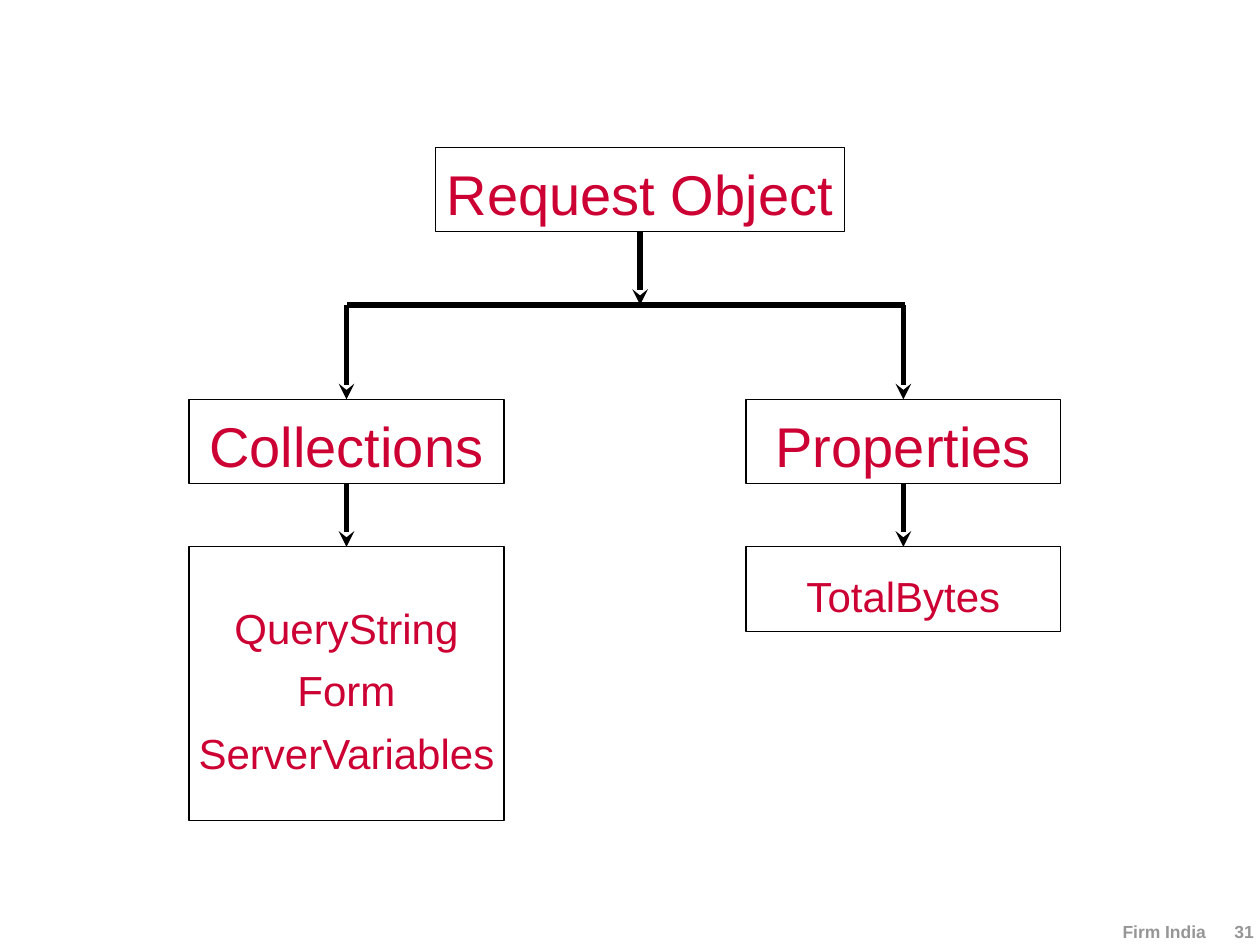
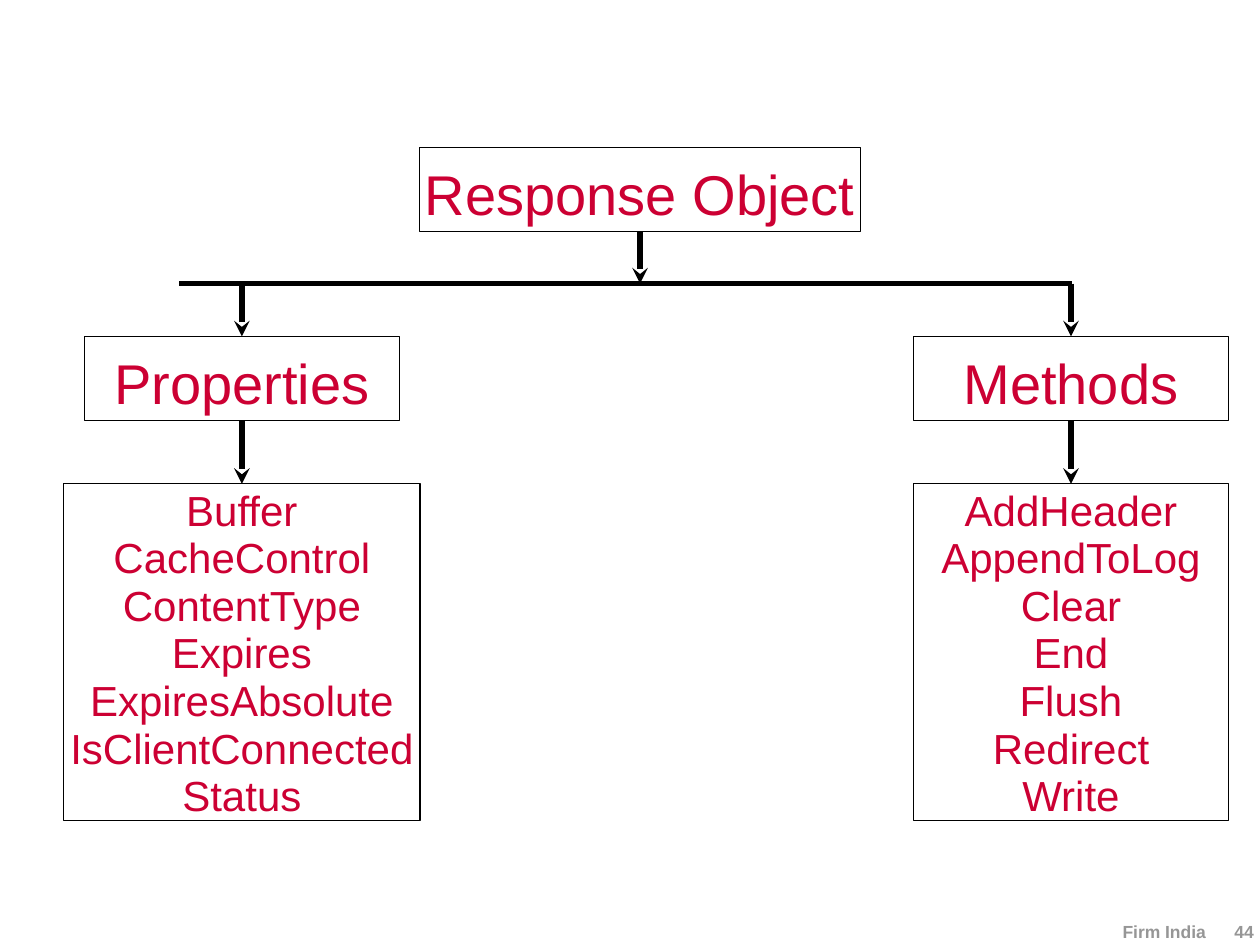
from lxml import etree
from pptx import Presentation
from pptx import util as u
from pptx.dml.color import RGBColor
from pptx.enum import shapes, text
from pptx.oxml.ns import qn

COLORS = {"line": "000000", "label": "CC0033", "footer": "969696"}
FONT = "Arial"
ROOT_CENTER, ROOT_TOP = 5.08, 1.17
HEADING_WIDTH, HEADING_HEIGHT = 2.5, 0.67
HEADING_GAP = 0.5
TOP, BOTTOM = 0, 2  # connection sites of a rectangle


def color(name):
    return RGBColor.from_string(COLORS[name])


def style_paragraph(para, size, color_name, align, bold=False):
    para.alignment = align
    para.font.name = FONT
    para.font.size = u.Pt(size)
    para.font.bold = bold
    para.font.color.rgb = color(color_name)


def add_box(page, center, top, width, height, lines, size, spacing=1.0, top_inset=0.1):
    """Outlined rectangle with centred lines of text."""
    box = page.shapes.add_shape(
        shapes.MSO_SHAPE.RECTANGLE, u.Inches(center - width / 2),
        u.Inches(top), u.Inches(width), u.Inches(height))
    box.shadow.inherit = False
    box.fill.background()
    box.line.color.rgb = color("line")
    box.line.width = u.Pt(0.75)
    frame = box.text_frame
    frame.word_wrap = False
    frame.vertical_anchor = text.MSO_ANCHOR.MIDDLE
    frame.margin_top = u.Inches(top_inset)
    frame.text = "\n".join(lines)
    for index, para in enumerate(frame.paragraphs):
        para.line_spacing = spacing
        para.space_before = u.Pt(7 if index else 0)
        style_paragraph(para, size, "label", text.PP_ALIGN.CENTER)
    return box


def add_heading(page, center, top, title, width=HEADING_WIDTH):
    return add_box(page, center, top, width, HEADING_HEIGHT, [title], 32)


def add_line(page, start, end, arrow=True):
    connector = page.shapes.add_connector(
        shapes.MSO_CONNECTOR.STRAIGHT, *(u.Inches(value) for value in start + end))
    connector.line.color.rgb = color("line")
    connector.line.width = u.Pt(3)
    properties = connector.element.spPr
    if arrow:
        etree.SubElement(properties.find(qn("a:ln")), qn("a:tailEnd"), type="stealth")
    etree.SubElement(properties, qn("a:effectLst"))
    return connector


def add_footer(page, number):
    for right, words in ((9.57, "Firm India"), (9.95, str(number))):
        width = 0.35 if words.isdigit() else 2
        box = page.shapes.add_textbox(
            u.Inches(right - width), u.Inches(7.31), u.Inches(width), u.Inches(0.17))
        frame = box.text_frame
        frame.word_wrap = True
        frame.vertical_anchor = text.MSO_ANCHOR.BOTTOM
        frame.margin_left = frame.margin_right = frame.margin_top = frame.margin_bottom = 0
        frame.text = words
        style_paragraph(frame.paragraphs[0], 10, "footer", text.PP_ALIGN.RIGHT, bold=True)


def add_branch(page, branch, bar_y, heading_top, spacing):
    """Arrow from the bar to a heading, and from there to its member list."""
    title, center, width, height, members = branch
    heading_bottom = heading_top + HEADING_HEIGHT
    list_top = heading_bottom + HEADING_GAP
    heading = add_heading(page, center, heading_top, title)
    member_list = add_box(page, center, list_top, width, height, members, 24, spacing, 0.15)
    add_line(page, (center, bar_y), (center, heading_top)).end_connect(heading, TOP)
    arrow = add_line(page, (center, heading_bottom), (center, list_top))
    arrow.begin_connect(heading, BOTTOM)
    arrow.end_connect(member_list, TOP)


def add_object_slide(deck, number, title, root_width, bar, heading_top, branches, spacing=1.0):
    page = deck.slides.add_slide(deck.slide_layouts[6])
    add_footer(page, number)
    # Root object and the bar it points to
    root = add_heading(page, ROOT_CENTER, ROOT_TOP, title, root_width)
    bar_left, bar_right, bar_y = bar
    arrow = add_line(page, (ROOT_CENTER, ROOT_TOP + HEADING_HEIGHT), (ROOT_CENTER, bar_y))
    arrow.begin_connect(root, BOTTOM)
    add_line(page, (bar_right, bar_y), (bar_left, bar_y), arrow=False)
    # Branches below the bar
    for branch in branches:
        add_branch(page, branch, bar_y, heading_top, spacing)


def main():
    deck = Presentation()
    deck.slide_width, deck.slide_height = u.Inches(10), u.Inches(7.5)

    # Branches: title, centre, list width, list height, members
    add_object_slide(deck, 31, "Request Object", 3.25, (2.75, 7.18, 2.42), 3.17, [
        ("Collections", 2.75, 2.5, 2.17, ["QueryString", "Form", "ServerVariables"]),
        ("Properties", 7.17, 2.5, 0.67, ["TotalBytes"]),
    ])
    add_object_slide(deck, 44, "Response Object", 3.5, (1.42, 8.51, 2.25), 2.67, [
        ("Properties", 1.92, 2.83, 2.67,
         ["Buffer", "CacheControl", "ContentType", "Expires", "ExpiresAbsolute",
          "IsClientConnected", "Status"]),
        ("Methods", 8.5, 2.5, 2.67,
         ["AddHeader", "AppendToLog", "Clear", "End", "Flush", "Redirect", "Write"]),
    ], spacing=0.7)
    deck.save("out.pptx")


if __name__ == "__main__":
    main()
